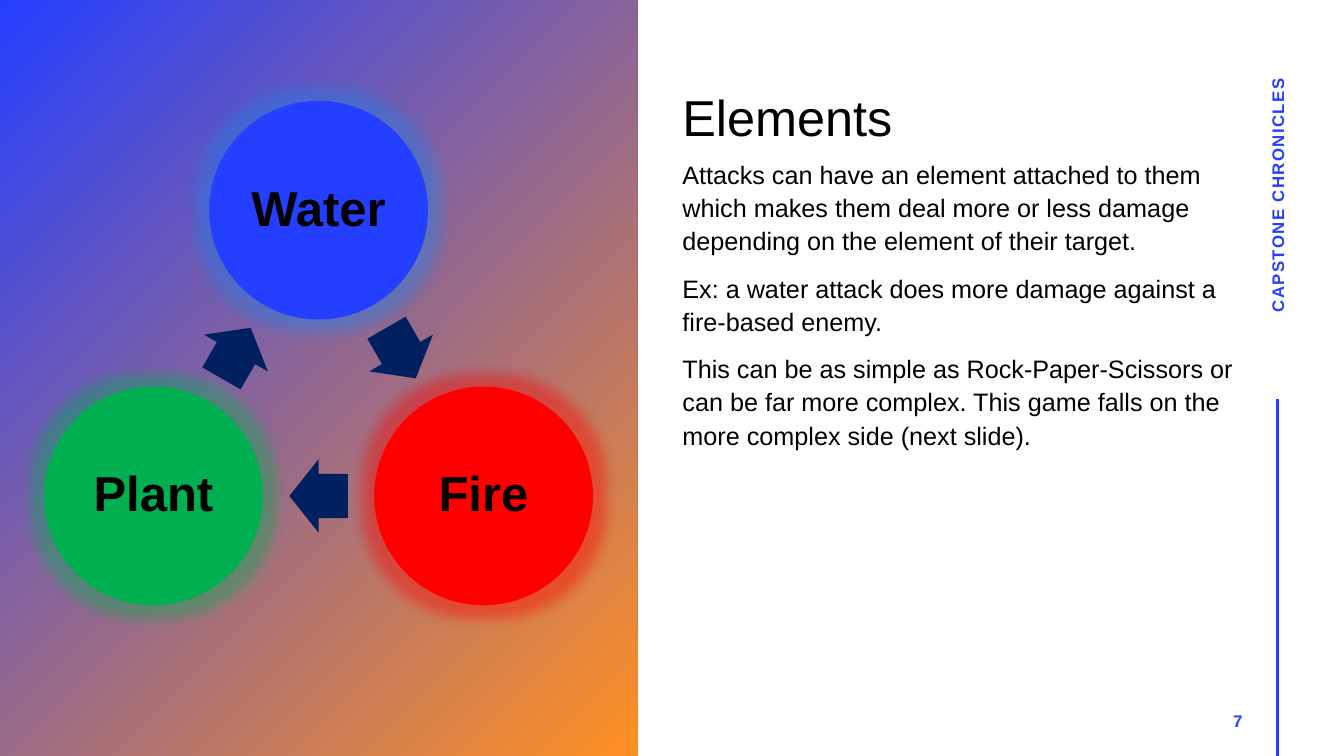
import math
from dataclasses import dataclass

from lxml import etree
from pptx import Presentation
from pptx import util as u
from pptx.dml.color import RGBColor
from pptx.enum import shapes, text
from pptx.oxml.ns import qn


@dataclass(frozen=True)
class Theme:
    font: str = "Arial"
    blue: str = "243FFF"
    orange: str = "FF9022"
    red: str = "FF0000"
    green: str = "00B050"
    navy: str = "002060"
    black: str = "000000"
    water_glow: str = "2080E8"
    title: int = 36
    label: int = 35
    body: int = 18
    small: int = 12


THEME = Theme()
ALIGN = text.PP_ALIGN
ANCHOR = text.MSO_ANCHOR


def lengths(box):
    return [u.Inches(value) for value in box]


def write(shape, paragraphs, size, color, bold=False, spacing=None,
          frame_format=None, para_format=None):
    """Fill a shape with paragraphs that share one format."""
    frame = shape.text_frame
    for name, value in {"word_wrap": True, **(frame_format or {})}.items():
        setattr(frame, name, value)
    for index, words in enumerate(paragraphs):
        para = frame.add_paragraph() if index else frame.paragraphs[0]
        for name, value in (para_format or {}).items():
            setattr(para, name, value)
        span = para.add_run()
        span.text = words
        font_format = {"name": THEME.font, "size": u.Pt(size), "bold": bold}
        for name, value in font_format.items():
            setattr(span.font, name, value)
        span.font.color.rgb = RGBColor.from_string(color)
        if spacing:
            span.font._element.set("spc", str(spacing * 100))


def add_text(page, box, *args, rotation=0, **formats):
    shape = page.shapes.add_textbox(*lengths(box))
    shape.rotation = rotation
    write(shape, *args, **formats)


def add_solid(page, kind, box, color):
    shape = page.shapes.add_shape(kind, *lengths(box))
    shape.shadow.inherit = False
    shape.fill.solid()
    shape.fill.fore_color.rgb = RGBColor.from_string(color)
    shape.line.fill.background()
    return shape


def add_glow(shape, color, radius=18, opacity=40):
    effects = shape._element.spPr.find(qn("a:effectLst"))
    glow = etree.SubElement(effects, qn("a:glow"), rad=str(u.Pt(radius)))
    tint = etree.SubElement(glow, qn("a:srgbClr"), val=color)
    etree.SubElement(tint, qn("a:alpha"), val=str(opacity * 1000))


def draw_backdrop(page, box):
    panel = add_solid(page, shapes.MSO_SHAPE.RECTANGLE, box, THEME.blue)
    panel.fill.gradient()
    panel.fill.gradient_angle = 315
    for stop, (position, color) in zip(panel.fill.gradient_stops,
                                       [(0, THEME.blue), (1, THEME.orange)]):
        stop.position = position
        stop.color.rgb = RGBColor.from_string(color)


def draw_cycle(page, box):
    """Three elements on a ring, each with an arrow to the next."""
    left, top, width, height = box
    diameter, ring = 2.17, 1.89
    arrow_width, arrow_height = 0.58, 0.73
    center_x, center_y = left + width / 2, top + diameter / 2 + ring
    elements = [("Water", THEME.blue, THEME.water_glow),
                ("Fire", THEME.red, THEME.red),
                ("Plant", THEME.green, THEME.green)]
    step = 360 / len(elements)

    def around(angle, radius, part_width, part_height):
        turn = math.radians(angle)
        return (center_x + radius * math.cos(turn) - part_width / 2,
                center_y + radius * math.sin(turn) - part_height / 2,
                part_width, part_height)

    for index, (name, color, glow) in enumerate(elements):
        angle = -90 + index * step
        circle = add_solid(page, shapes.MSO_SHAPE.OVAL,
                           around(angle, ring, diameter, diameter), color)
        add_glow(circle, glow)
        inset = u.Inches(0.05)
        sides = ("left", "right", "top", "bottom")
        write(circle, [name], THEME.label, THEME.black, bold=True,
              frame_format={"vertical_anchor": ANCHOR.MIDDLE,
                            **{f"margin_{side}": inset for side in sides}},
              para_format={"alignment": ALIGN.CENTER, "line_spacing": 0.9})

        # Arrow halfway to the next element
        middle = around(angle + step / 2, ring * math.cos(math.radians(step / 2)),
                        arrow_width, arrow_height)
        arrow = add_solid(page, shapes.MSO_SHAPE.RIGHT_ARROW, middle, THEME.navy)
        arrow.rotation = step / 2 + index * step
        arrow.adjustments[0], arrow.adjustments[1] = 0.6, 0.5


def draw_story(page, box):
    left, top, width, height = box
    title_height = 1.17
    spaced = {"line_spacing": 1.1, "space_before": u.Pt(10)}
    add_text(page, (left, top, 5.17, title_height), ["Elements"],
             THEME.title, THEME.black, para_format=spaced,
             frame_format={"vertical_anchor": ANCHOR.BOTTOM})
    add_text(page, (left, top + title_height, width, height - title_height), [
        "Attacks can have an element attached to them which makes them deal "
        "more or less damage depending on the element of their target.",
        "Ex: a water attack does more damage against a fire-based enemy.",
        "This can be as simple as Rock-Paper-Scissors or can be far more "
        "complex. This game falls on the more complex side (next slide).",
    ], THEME.body, THEME.black, para_format=spaced)


def draw_margin(page, box):
    """Upright running title, vertical rule and page number."""
    left, top, width, height = box
    center_x, bottom = left + width / 2, top + height
    rule = page.shapes.add_connector(
        shapes.MSO_CONNECTOR.STRAIGHT,
        *lengths((center_x, top + 3.96, center_x, bottom)))
    rule.line.width = u.Pt(2)
    rule.line.color.rgb = RGBColor.from_string(THEME.blue)
    etree.SubElement(rule._element.spPr, qn("a:effectLst"))

    length, thickness = 3.88, 0.4
    labels = [
        ((center_x - length / 2, top + 1.74, length, thickness),
         "CAPSTONE CHRONICLES", ALIGN.CENTER, 270),
        ((center_x - 3.25, bottom - 0.55, 3, thickness), "7", ALIGN.RIGHT, 0),
    ]
    for place, words, alignment, rotation in labels:
        add_text(page, place, [words], THEME.small, THEME.blue, bold=True,
                 spacing=1, rotation=rotation,
                 frame_format={"vertical_anchor": ANCHOR.MIDDLE},
                 para_format={"alignment": alignment})


def main():
    deck = Presentation()
    deck.slide_width, deck.slide_height = lengths((13.33, 7.5))
    page = deck.slides.add_slide(deck.slide_layouts[6])
    draw_backdrop(page, (0, 0, 6.32, 7.5))
    draw_story(page, (6.67, 0.33, 5.71, 5.68))
    draw_margin(page, (12.47, 0, 0.4, 7.5))
    draw_cycle(page, (0.44, 1, 5.44, 5))
    deck.save("out.pptx")


if __name__ == "__main__":
    main()
